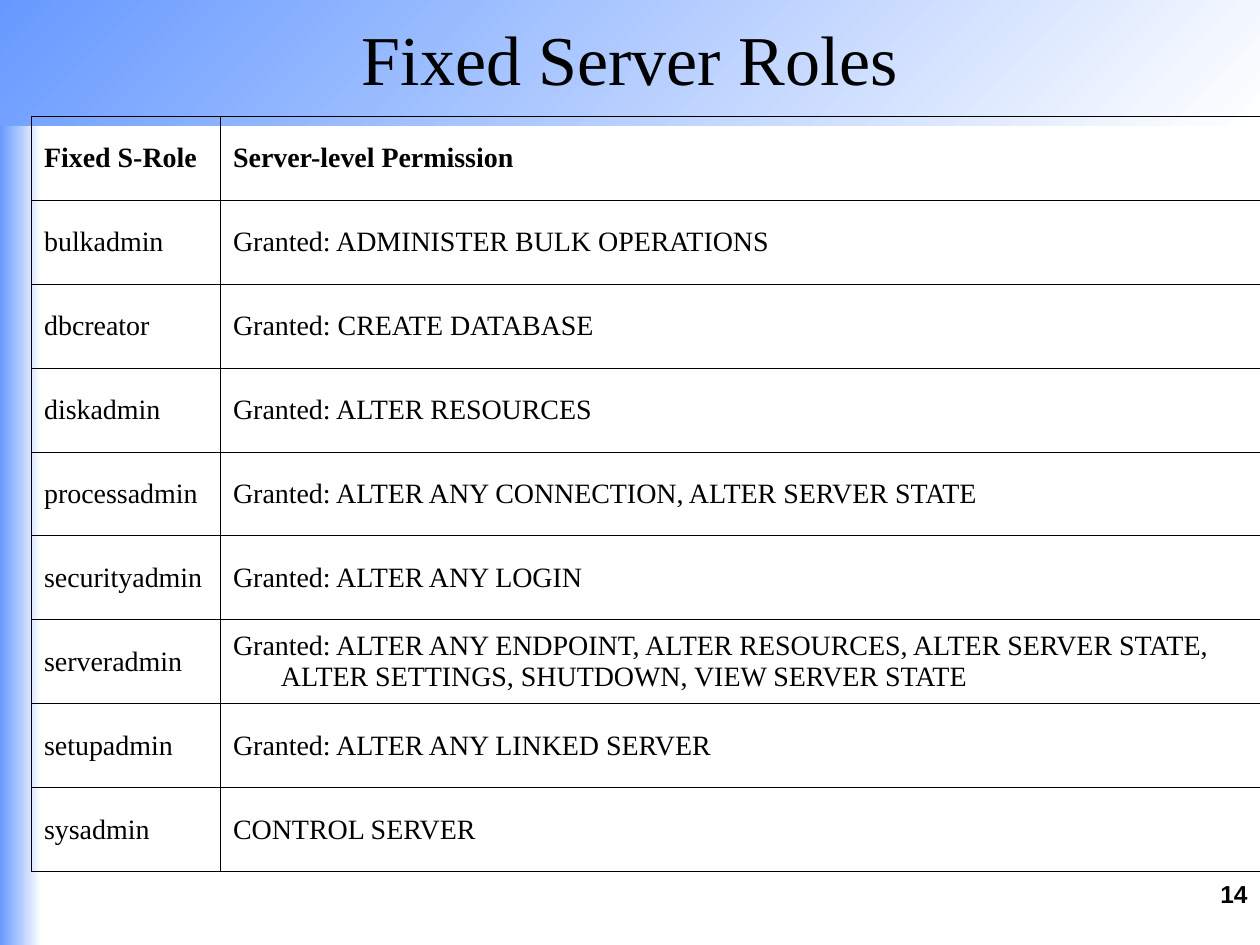
from lxml.etree import SubElement
from pptx import Presentation
from pptx.dml.color import RGBColor
from pptx.enum.shapes import MSO_SHAPE
from pptx.enum.text import MSO_ANCHOR, PP_ALIGN
from pptx.oxml.ns import qn
from pptx.util import Inches, Pt

BLUE = RGBColor(0x66, 0x99, 0xFF)
WHITE = RGBColor(0xFF, 0xFF, 0xFF)
BLACK = RGBColor(0x00, 0x00, 0x00)

ROLES = [
    ("Fixed S-Role", "Server-level Permission"),
    ("bulkadmin", "Granted: ADMINISTER BULK OPERATIONS"),
    ("dbcreator", "Granted: CREATE DATABASE"),
    ("diskadmin", "Granted: ALTER RESOURCES"),
    ("processadmin", "Granted: ALTER ANY CONNECTION, ALTER SERVER STATE"),
    ("securityadmin", "Granted: ALTER ANY LOGIN"),
    ("serveradmin", "Granted: ALTER ANY ENDPOINT, ALTER RESOURCES, ALTER SERVER STATE, "
                    "ALTER SETTINGS, SHUTDOWN, VIEW SERVER STATE"),
    ("setupadmin", "Granted: ALTER ANY LINKED SERVER"),
    ("sysadmin", "CONTROL SERVER"),
]


def style_text(paragraph, text, font_name, size, bold=False):
    paragraph.text = text
    font = paragraph.font
    font.name, font.size, font.bold = font_name, Pt(size), bold
    font.color.rgb = BLACK


def add_border(cell, side):
    line = SubElement(cell._tc.get_or_add_tcPr(), qn(f"a:{side}"), w=str(Pt(0.45)))
    fill = SubElement(line, qn("a:solidFill"))
    SubElement(fill, qn("a:srgbClr"), val=str(BLACK))


presentation = Presentation()
presentation.slide_width, presentation.slide_height = Inches(10), Inches(7.5)
width, height = presentation.slide_width, presentation.slide_height
slide = presentation.slides.add_slide(presentation.slide_layouts[6])
slide.background.fill.solid()
slide.background.fill.fore_color.rgb = WHITE

# Gradient bands on the left and top edges (angles run counter-clockwise)
for band_width, band_height, angle in [(Inches(0.33), height, 0), (width, Inches(1), 315)]:
    band = slide.shapes.add_shape(MSO_SHAPE.RECTANGLE, 0, 0, band_width, band_height)
    band.shadow.inherit = False
    band.line.fill.background()
    band.fill.gradient()
    band.fill.gradient_angle = angle
    for stop, color in zip(band.fill.gradient_stops, (BLUE, WHITE)):
        stop.color.rgb = color

# Page number and title
for text, left, top, box_height, align, anchor, font_name, size, bold in [
    ("14", Inches(7.17), Inches(6.93), Inches(0.52), PP_ALIGN.RIGHT,
     MSO_ANCHOR.TOP, "Arial", 14, True),
    ("Fixed Server Roles", 0, 0, Inches(0.92), PP_ALIGN.CENTER,
     MSO_ANCHOR.MIDDLE, "Times New Roman", 40, False),
]:
    frame = slide.shapes.add_textbox(left, top, width - left, box_height).text_frame
    frame.word_wrap = True
    frame.vertical_anchor = anchor
    frame.paragraphs[0].alignment = align
    style_text(frame.paragraphs[0], text, font_name, size, bold)

# Table of roles, see-through so the bands show behind it
roles_table = slide.shapes.add_table(
    len(ROLES), 2, Inches(0.25), Inches(0.92), Inches(9.75), Inches(6)).table
roles_table.first_row = roles_table.horz_banding = False
roles_table.columns[0].width = Inches(1.5)
roles_table.columns[1].width = Inches(8.25)

for row, role in enumerate(ROLES):
    for column, text in enumerate(role):
        cell = roles_table.cell(row, column)
        cell.vertical_anchor = MSO_ANCHOR.MIDDLE
        for side in ("lnL", "lnR", "lnT", "lnB"):
            add_border(cell, side)
        cell.fill.background()
        paragraph = cell.text_frame.paragraphs[0]
        indent = Inches(0.38)
        properties = paragraph._p.get_or_add_pPr()
        properties.set("marL", str(indent))
        properties.set("indent", str(-indent))
        style_text(paragraph, text, "Times New Roman", 16, bold=row == 0)

presentation.save("out.pptx")
